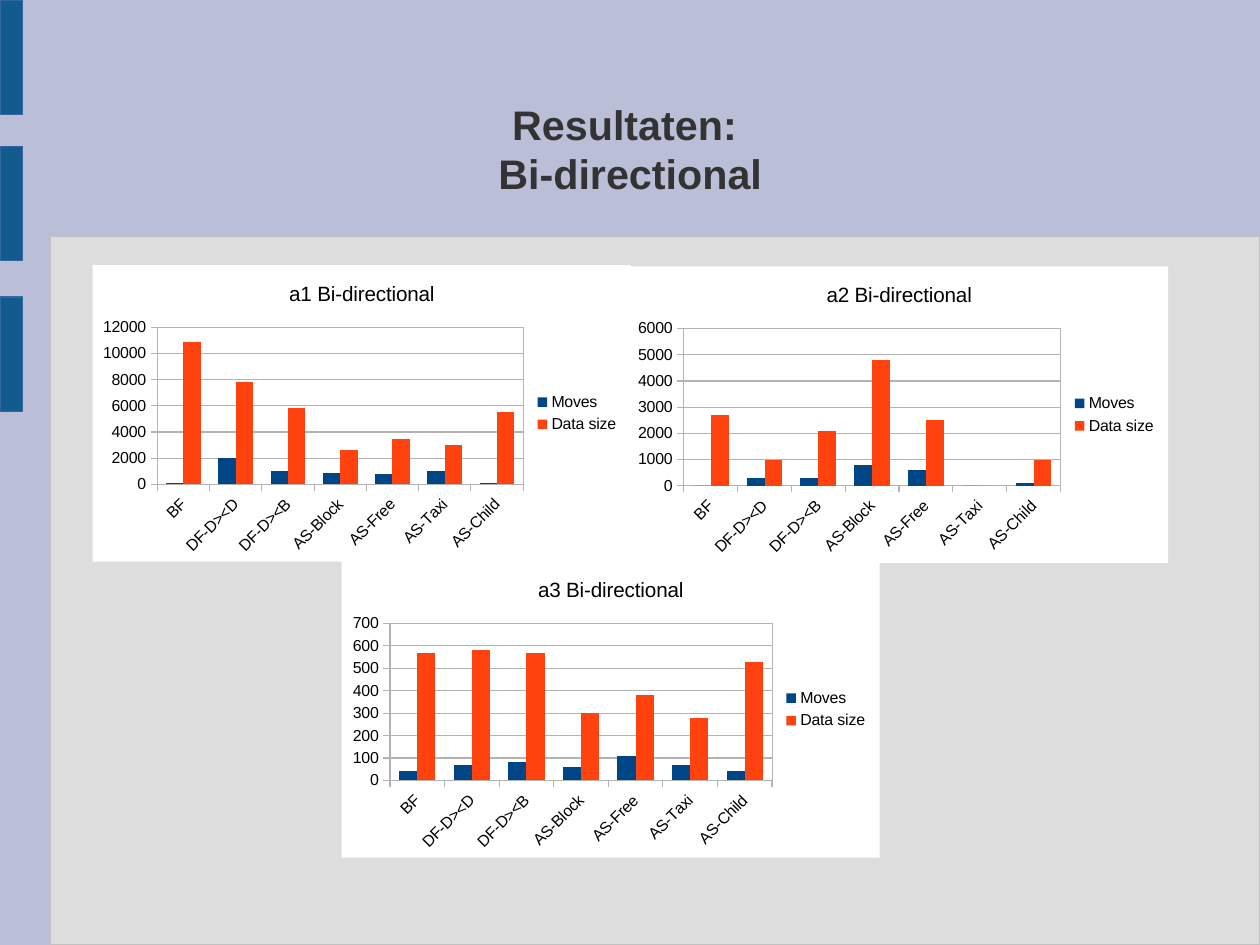
from pptx import Presentation
from pptx.chart.data import CategoryChartData as Data
from pptx.dml.color import RGBColor
from pptx.enum.chart import XL_CHART_TYPE as Kind, XL_LEGEND_POSITION as Side
from pptx.enum.chart import XL_TICK_MARK as Tick
from pptx.enum.shapes import MSO_SHAPE as Form
from pptx.enum.text import MSO_ANCHOR as Anchor, PP_ALIGN as Align
from pptx.oxml import parse_xml
from pptx.oxml.ns import nsdecls, qn
from pptx.util import Mm, Pt

# Grid: square cells of one millimetre
CELL = Mm(1)
COLS, ROWS = 280, 210

LILAC = RGBColor(0xBA, 0xBE, 0xD6)
PALE = RGBColor(0xDD, 0xDD, 0xDD)
SILVER = RGBColor(0xC0, 0xC0, 0xC0)
TEAL = RGBColor(0x12, 0x5C, 0x8D)
EDGE = RGBColor(0x34, 0x65, 0xA4)
DARK = RGBColor(0x33, 0x33, 0x33)
BLACK = RGBColor(0, 0, 0)
WHITE = RGBColor(0xFF, 0xFF, 0xFF)
RULE = RGBColor(0xB3, 0xB3, 0xB3)
NAVY = RGBColor(0x00, 0x45, 0x86)
ORANGE = RGBColor(0xFF, 0x42, 0x0E)

FACE = "Arial"
CATS = ["BF", "DF-D><D", "DF-D><B", "AS-Block", "AS-Free", "AS-Taxi", "AS-Child"]
WIDE, HIGH = 119.6, 65.9

# Each chart: title, left, top, left share of its plot, moves, data sizes
CHARTS = [
    ("a1 Bi-directional", 20.6, 58.9, 0.12,
     [100, 2000, 1000, 900, 800, 1000, 100],
     [10900, 7800, 5800, 2600, 3500, 3000, 5500]),
    ("a2 Bi-directional", 140, 59.2, 0.1,
     [0, 300, 300, 800, 600, 0, 100],
     [2700, 1000, 2100, 4800, 2500, 0, 1000]),
    ("a3 Bi-directional", 75.9, 124.7, 0.09,
     [40, 70, 80, 60, 110, 70, 40],
     [570, 580, 570, 300, 380, 280, 530]),
]


def span(*box):
    return [round(n * CELL) for n in box]


def style(font, size, color, bold=False):
    look = {"name": FACE, "size": Pt(size), "bold": bold}
    for key, value in look.items():
        setattr(font, key, value)
    font.color.rgb = color


def block(slide, box, fill, edge):
    shape = slide.shapes.add_shape(Form.RECTANGLE, *span(*box))
    shape.shadow.inherit = False
    shape.fill.solid()
    shape.fill.fore_color.rgb = fill
    shape.line.color.rgb = edge
    shape.line.width = 0


def frame(slide):
    """Background, content panel and the tabs on the left edge."""
    slide.background.fill.solid()
    slide.background.fill.fore_color.rgb = LILAC
    left, top = 11.3, 52.6
    block(slide, (left, top, COLS - left, ROWS - top), PALE, SILVER)
    for row in (0, 32.5, 66):
        block(slide, (0, row, 5, 25.5), TEAL, EDGE)


def heading(slide, text, box):
    title = slide.shapes.title
    title.left, title.top, title.width, title.height = span(*box)
    body = title.text_frame
    body.text = text
    look = {"margin_left": 0, "margin_right": 0, "margin_top": 0,
            "margin_bottom": 0, "vertical_anchor": Anchor.MIDDLE,
            "word_wrap": True}
    for key, value in look.items():
        setattr(body, key, value)
    para = body.paragraphs[0]
    para.alignment = Align.CENTER
    for run in para.runs:
        style(run.font, 26, DARK, True)


def paint(color):
    return f'<a:solidFill><a:srgbClr val="{color}"/></a:solidFill>'


def coat(fill, line):
    return parse_xml(f'<c:spPr {nsdecls("c", "a")}>{fill}'
                     f'<a:ln w="0">{line}</a:ln></c:spPr>')


def backdrop(chart, inset):
    """White chart area, and a fixed place and border for the plot."""
    core = chart._chartSpace.find(qn("c:chart"))
    core.addnext(coat(paint(WHITE), "<a:noFill/>"))
    area = core.find(qn("c:plotArea"))
    area.append(coat("<a:noFill/>", paint(RULE)))
    for old in area.findall(qn("c:layout")):
        area.remove(old)
    place = {"x": inset, "y": 0.21, "w": round(0.8 - inset, 2), "h": 0.53}
    modes = "".join(f'<c:{k}Mode val="edge"/>' for k in "xy")
    parts = "".join(f'<c:{k} val="{v}"/>' for k, v in place.items())
    area.insert(0, parse_xml(
        f'<c:layout {nsdecls("c")}><c:manualLayout><c:layoutTarget val="inner"/>'
        f'{modes}{parts}</c:manualLayout></c:layout>'))


def axes(chart):
    for axis in (chart.category_axis, chart.value_axis):
        axis.major_tick_mark = Tick.OUTSIDE
        axis.minor_tick_mark = Tick.NONE
        axis.format.line.color.rgb = RULE
        axis.format.line.width = 0
        style(axis.tick_labels.font, 10, BLACK)
    grid = chart.value_axis.major_gridlines.format.line
    grid.color.rgb = RULE
    grid.width = 0
    # Slanted category labels
    text = chart.category_axis._element.find(qn("c:txPr"))
    text.find(qn("a:bodyPr")).set("rot", "-2700000")


def graph(slide, name, box, inset, moves, sizes):
    data = Data()
    data.categories = CATS
    data.add_series("Moves", moves)
    data.add_series("Data size", sizes)
    chart = slide.shapes.add_chart(Kind.COLUMN_CLUSTERED, *span(*box), data).chart
    backdrop(chart, inset)
    style(chart.font, 10, BLACK)

    # Title and legend
    chart.has_title = True
    label = chart.chart_title.text_frame
    label.text = name
    style(label.paragraphs[0].runs[0].font, 13, BLACK)
    chart.has_legend = True
    chart.legend.position = Side.RIGHT
    chart.legend.include_in_layout = False
    style(chart.legend.font, 10, BLACK)

    # Columns
    axes(chart)
    plot = chart.plots[0]
    plot.gap_width, plot.overlap = 100, 0
    plot.vary_by_categories = False
    for bars, color in zip(plot.series, (NAVY, ORANGE)):
        bars.format.fill.solid()
        bars.format.fill.fore_color.rgb = color


def main():
    deck = Presentation()
    deck.slide_width, deck.slide_height = span(COLS, ROWS)
    slide = deck.slides.add_slide(deck.slide_layouts[5])
    frame(slide)
    heading(slide, "Resultaten: \vBi-directional", (20.6, 15.5, 239, 35))
    for name, left, top, inset, moves, sizes in CHARTS:
        graph(slide, name, (left, top, WIDE, HIGH), inset, moves, sizes)
    deck.save("out.pptx")


if __name__ == "__main__":
    main()
